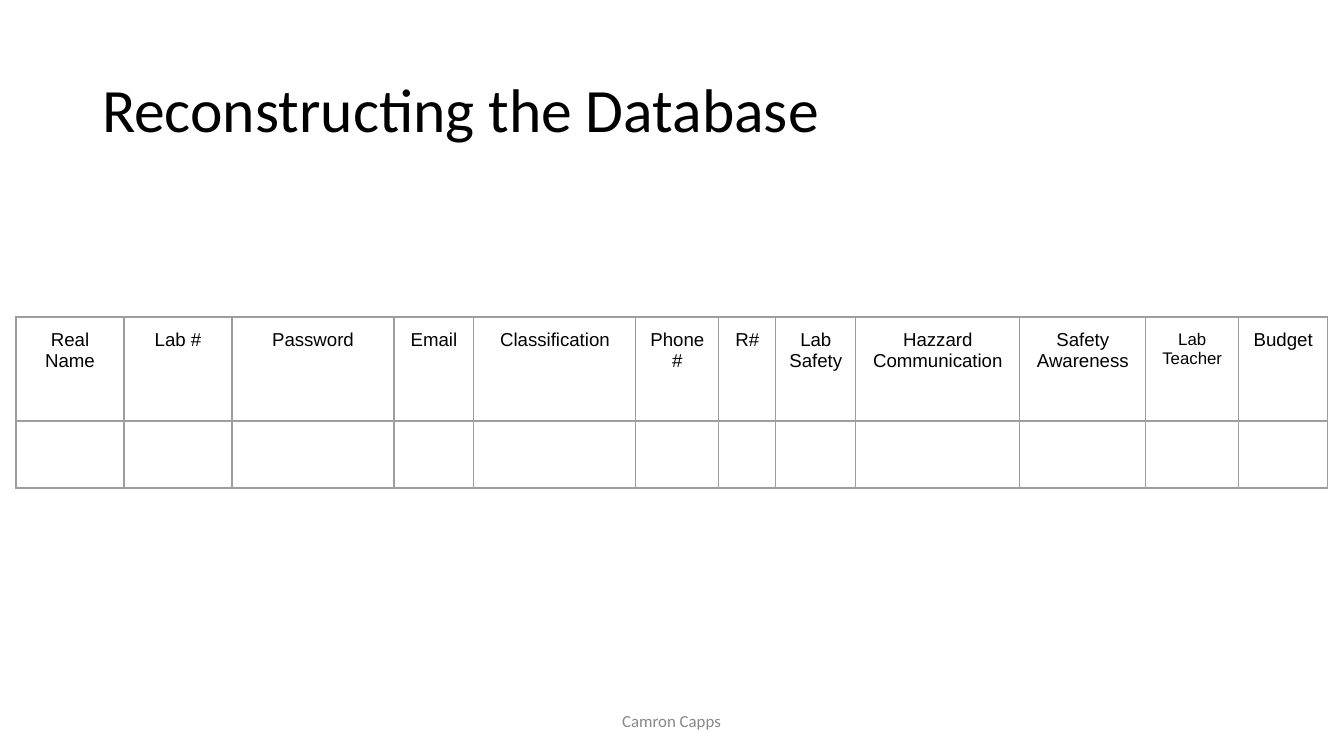
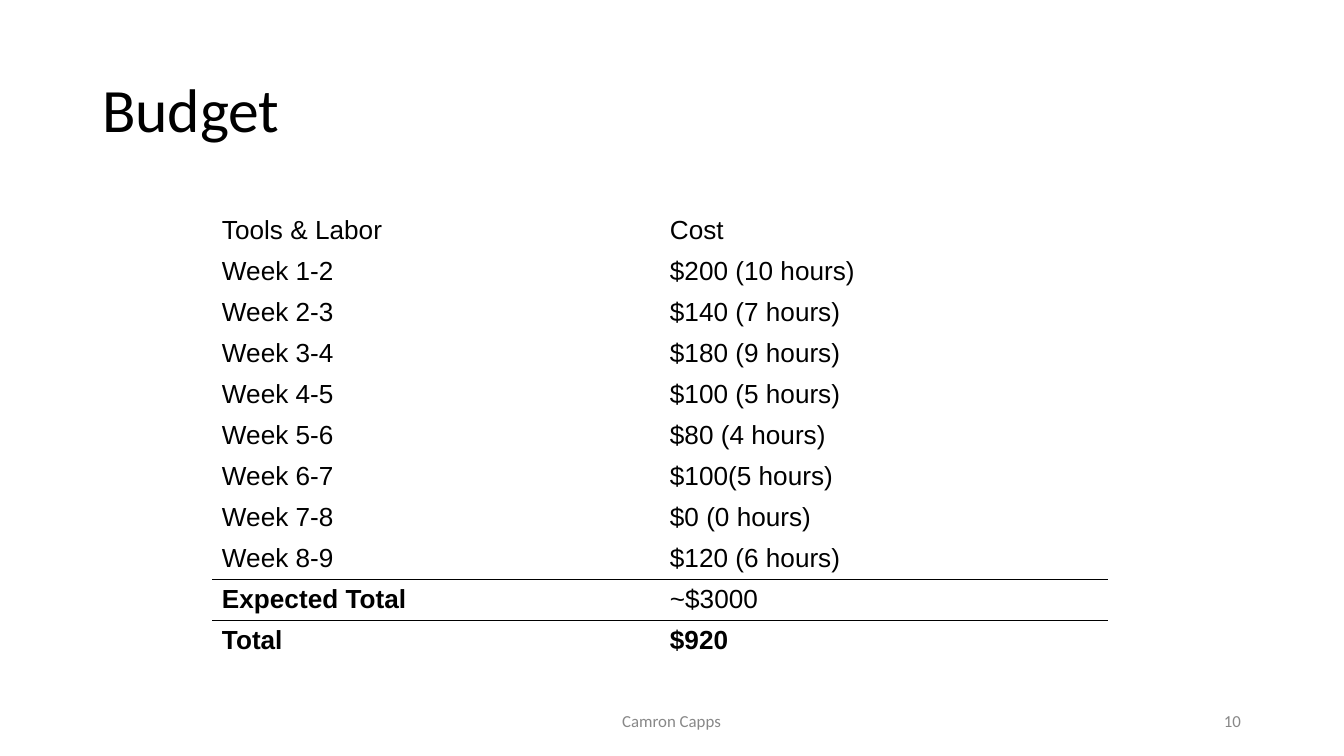
"""Build two slides: a database table layout and a project budget."""
from lxml.etree import SubElement
from pptx import Presentation
from pptx.dml.color import RGBColor
from pptx.enum.text import MSO_ANCHOR as Anchor, MSO_AUTO_SIZE as AutoSize, PP_ALIGN as Align
from pptx.oxml.ns import qn
from pptx.util import Emu, Pt

SCALE = 914400 / 134.4
BLACK, GREY, GRID = "000000", "888888", "9E9E9E"
HEADING_FONT, TABLE_FONT = "Calibri", "Arial"
NO_STYLE = "{2D5ABB26-0587-4C30-8999-92F81FD0307C}"


def px(length):
    return Emu(round(length * SCALE))


def write(frame, text, size, font, color, align=Align.LEFT, bold=False, inset=(10, 5)):
    frame.word_wrap = True
    frame.margin_left = frame.margin_right = px(inset[0])
    frame.margin_top = frame.margin_bottom = px(inset[1])
    para = frame.paragraphs[0]
    para.alignment = align
    span = para.add_run()
    span.text = text
    span.font.size = Pt(size)
    span.font.name = font
    span.font.bold = bold
    span.font.color.rgb = RGBColor.from_string(color)


deck = Presentation()
deck.slide_width, deck.slide_height = px(1344), px(756)

fields = ["Real Name", "Lab #", "Password", "Email", "Classification", "Phone #", "R#",
          "Lab Safety", "Hazzard Communication", "Safety Awareness", "Lab Teacher", "Budget"]
costs = [
    ("Tools & Labor", "Cost"),
    ("Week 1-2", "$200 (10 hours)"),
    ("Week 2-3", "$140 (7 hours)"),
    ("Week 3-4", "$180 (9 hours)"),
    ("Week 4-5", "$100 (5 hours)"),
    ("Week 5-6", "$80 (4 hours)"),
    ("Week 6-7", "$100(5 hours)"),
    ("Week 7-8", "$0 (0 hours)"),
    ("Week 8-9", "$120 (6 hours)"),
    ("Expected Total", "~$3000"),
    ("Total", "$920"),
]
bold_texts = {"Expected Total", "Total", "$920"}
total_row = len(costs) - 1
rules = {total_row - 2: ["B"], total_row - 1: ["T", "B"], total_row: ["T"]}

slides = [
    dict(title="Reconstructing the Database", title_inset=(10, 10), number=None,
         corner=(16, 317), rows=[fields, [""] * len(fields)], heights=[104, 57],
         widths=[108, 108, 162, 80, 162, 83, 57, 80, 164, 126, 93, 89],
         size=10, align=Align.CENTER, inset=(13, 13),
         borders={0: "LRTB", 1: "LRTB"}, line=(GRID, 0.75)),
    dict(title="Budget", title_inset=(10, 5), number="10",
         corner=(212, 211), rows=costs, heights=[41] * len(costs), widths=[448, 448],
         size=14, align=Align.LEFT, inset=(10, 5), borders=rules, line=(BLACK, 1)),
]

for content in slides:
    page = deck.slides.add_slide(deck.slide_layouts[5])
    title = page.shapes.title
    title.left, title.top, title.width, title.height = px(92), px(40), px(1159), px(146)
    write(title.text_frame, content["title"], 33, HEADING_FONT, BLACK, inset=content["title_inset"])
    title.text_frame.vertical_anchor = Anchor.MIDDLE
    title.text_frame.auto_size = AutoSize.NONE
    title.text_frame.paragraphs[0].line_spacing = 0.9

    rows, widths, heights = content["rows"], content["widths"], content["heights"]
    left, top = content["corner"]
    table = page.shapes.add_table(len(rows), len(widths), px(left), px(top),
                                  px(sum(widths)), px(sum(heights))).table
    table.first_row = table.horz_banding = False
    table._tbl.tblPr.find(qn("a:tableStyleId")).text = NO_STYLE
    for column, width in zip(table.columns, widths):
        column.width = px(width)
    for row, height in zip(table.rows, heights):
        row.height = px(height)
    color, weight = content["line"]
    for row_index, texts in enumerate(rows):
        for column_index, text in enumerate(texts):
            cell = table.cell(row_index, column_index)
            cell.margin_left = cell.margin_right = px(content["inset"][0])
            cell.margin_top = cell.margin_bottom = px(content["inset"][1])
            if text:
                size = 9 if text == "Lab Teacher" else content["size"]
                write(cell.text_frame, text, size, TABLE_FONT, BLACK,
                      content["align"], text in bold_texts)
            for side in content["borders"].get(row_index, []):
                border = SubElement(cell._tc.get_or_add_tcPr(), qn("a:ln" + side), w=str(Pt(weight)))
                fill = SubElement(border, qn("a:solidFill"))
                SubElement(fill, qn("a:srgbClr"), val=color)
            cell.fill.background()

    footers = [("Camron Capps", 445, 453, Align.CENTER)]
    if content["number"]:
        footers.append((content["number"], 949, 302, Align.RIGHT))
    for text, left, width, align in footers:
        box = page.shapes.add_textbox(px(left), px(701), px(width), px(40))
        write(box.text_frame, text, 9, HEADING_FONT, GREY, align)
        box.text_frame.vertical_anchor = Anchor.MIDDLE

deck.save("out.pptx")
